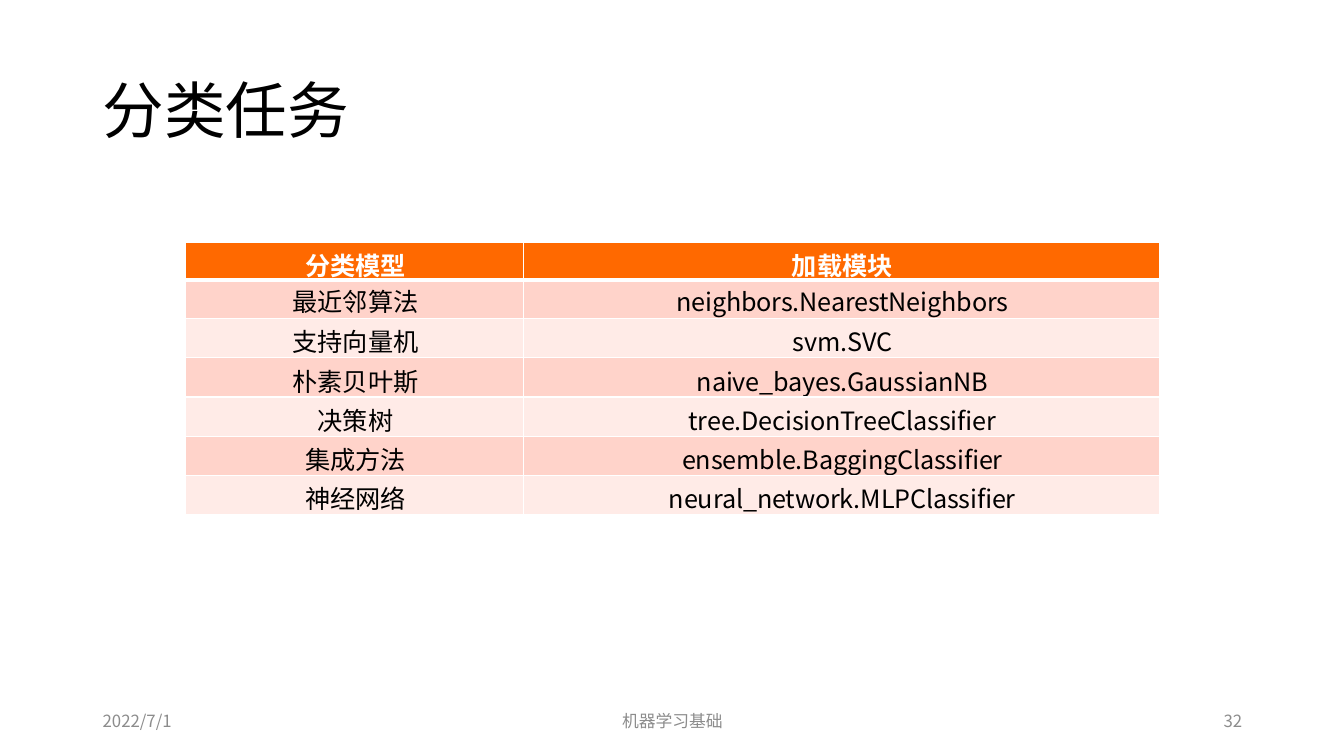
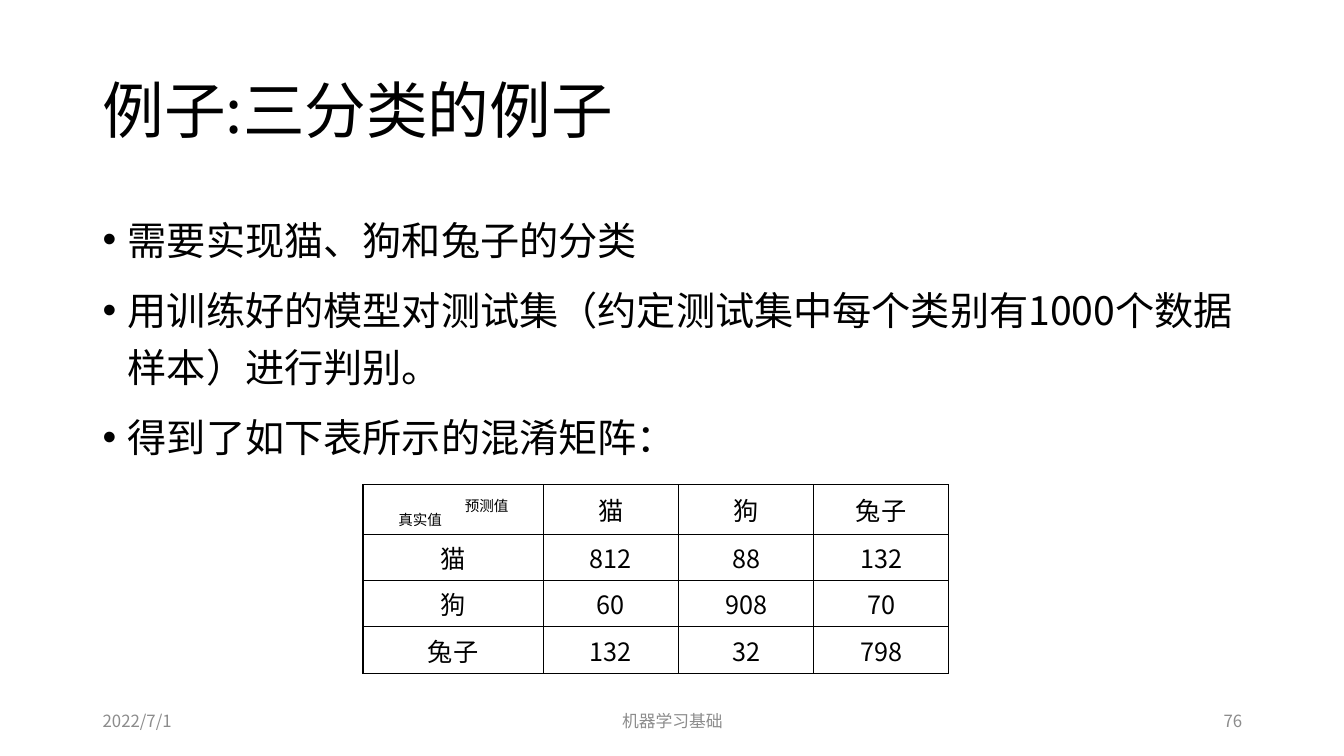
"""Build two machine-learning slides: a model table and a confusion matrix."""
from lxml import etree
from pptx import Presentation
from pptx.dml.color import RGBColor
from pptx.enum.text import MSO_ANCHOR, PP_ALIGN
from pptx.oxml.ns import qn
from pptx.util import Pt

LEFT, MID, RIGHT = PP_ALIGN.LEFT, PP_ALIGN.CENTER, PP_ALIGN.RIGHT
TOP, CENTER = MSO_ANCHOR.TOP, MSO_ANCHOR.MIDDLE
PX = 9144
FONT = "Noto Sans CJK SC"
BLACK = RGBColor(0x00, 0x00, 0x00)
WHITE = RGBColor(0xFF, 0xFF, 0xFF)
GRAY = RGBColor(0x8C, 0x8C, 0x8C)
ORANGE = RGBColor(0xFF, 0x69, 0x00)
PINK = RGBColor(0xFF, 0xD3, 0xCA)
PALE = RGBColor(0xFF, 0xEB, 0xE7)

TITLE_BOX = (92, 40, 1150, 145)
BODY_BOX = (92, 200, 1150, 476)
DATE = "2022/7/1"
TOPIC = "机器学习基础"
FOOTS = [(92, 300, LEFT), (442, 450, MID), (942, 300, RIGHT)]

MODELS = [
    ("分类模型", "加载模块"),
    ("最近邻算法", "neighbors.NearestNeighbors"),
    ("支持向量机", "svm.SVC"),
    ("朴素贝叶斯", "naive_bayes.GaussianNB"),
    ("决策树", "tree.DecisionTreeClassifier"),
    ("集成方法", "ensemble.BaggingClassifier"),
    ("神经网络", "neural_network.MLPClassifier"),
]
POINTS = [
    "需要实现猫、狗和兔子的分类",
    "用训练好的模型对测试集（约定测试集中每个类别有1000个数据样本）进行判别。",
    "得到了如下表所示的混淆矩阵：",
]
KINDS = ["猫", "狗", "兔子"]
COUNTS = [(812, 88, 132), (60, 908, 70), (132, 32, 798)]
AXES = [("真实值", -25000), ("\t预测值", 30000)]

TITLE = {"size": Pt(44), "color": BLACK}
BODY = {"size": Pt(28), "color": BLACK}
FOOT = {"size": Pt(12), "color": GRAY}
CELL = {"size": Pt(18), "color": BLACK}
HEAD = {"size": Pt(18), "color": WHITE, "bold": True}


def apply(item, look):
    for key, val in look.items():
        setattr(item, key, val)


def add_run(para, text, look):
    run = para.add_run()
    run.text = text
    font = run.font
    apply(font, {k: v for k, v in look.items() if k != "color"})
    font.name = FONT
    font.color.rgb = look["color"]
    props = run._r.get_or_add_rPr()
    etree.SubElement(props, qn("a:ea"), typeface=FONT)
    return props


def add_text(slide, box, lines, look, form, anchor=CENTER, bullet=False):
    shape = slide.shapes.add_textbox(*(n * PX for n in box))
    frame = shape.text_frame
    apply(frame, {"word_wrap": True, "vertical_anchor": anchor})
    for i, line in enumerate(lines):
        para = frame.add_paragraph() if i else frame.paragraphs[0]
        apply(para, form)
        add_run(para, line, look)
        if bullet:
            props = para._p.get_or_add_pPr()
            props.set("marL", str(25 * PX))
            props.set("indent", str(-25 * PX))
            etree.SubElement(props, qn("a:buFont"), typeface="Arial")
            etree.SubElement(props, qn("a:buChar"), char="•")


def add_slide(deck, title, num):
    slide = deck.slides.add_slide(deck.slide_layouts[6])
    add_text(slide, TITLE_BOX, [title], TITLE, {"line_spacing": 0.9})
    for (x, w, side), text in zip(FOOTS, (DATE, TOPIC, num)):
        add_text(slide, (x, 695, w, 40), [text], FOOT, {"alignment": side})
    return slide


def add_grid(slide, x, y, cols, rows):
    shape = slide.shapes.add_table(
        len(rows), len(cols), x * PX, y * PX, sum(cols) * PX, sum(rows) * PX)
    grid = shape.table
    apply(grid, {"first_row": False, "horz_banding": False})
    for col, w in zip(grid.columns, cols):
        col.width = w * PX
    for row, h in zip(grid.rows, rows):
        row.height = h * PX
    return grid


def dress(cell, fill, edge, wide=None):
    props = cell._tc.get_or_add_tcPr()
    for side in ("lnL", "lnR", "lnT", "lnB"):
        width = Pt(3 if side == wide else 1)
        line = etree.SubElement(props, qn("a:" + side), w=str(width))
        paint = etree.SubElement(line, qn("a:solidFill"))
        etree.SubElement(paint, qn("a:srgbClr"), val=str(edge))
    cell.fill.solid()
    cell.fill.fore_color.rgb = fill


def add_models(slide):
    grid = add_grid(slide, 184, 240, (335, 631), [38] * 2 + [39] * 5)
    for r, row in enumerate(MODELS):
        fill = (PALE, PINK)[r % 2] if r else ORANGE
        wide = {0: "lnB", 1: "lnT"}.get(r)
        gap, lead = (2, 1.6) if r == 1 else (4, 2.6)
        for c, text in enumerate(row):
            cell = grid.cell(r, c)
            dress(cell, fill, WHITE, wide)
            apply(cell, {"margin_left": 0, "margin_right": 0,
                         "margin_top": gap * PX, "margin_bottom": 0})
            para = cell.text_frame.paragraphs[0]
            apply(para, {"alignment": MID, "space_before": Pt(lead)})
            para._p.get_or_add_pPr().set("marL", str(2 * PX))
            props = add_run(para, text, CELL if r else HEAD)
            if r and c:
                props.set("spc", "-10")


def add_matrix(slide):
    grid = add_grid(slide, 360, 481, (179, 134, 134, 134), (49, 46, 46, 46))
    table = [[""] + KINDS]
    table += [[kind, *nums] for kind, nums in zip(KINDS, COUNTS)]
    for r, row in enumerate(table):
        for c, value in enumerate(row):
            cell = grid.cell(r, c)
            dress(cell, WHITE, BLACK)
            cell.vertical_anchor = CENTER
            para = cell.text_frame.paragraphs[0]
            if r or c:
                para.alignment = MID
                add_run(para, str(value), CELL)
    corner = grid.cell(0, 0)
    corner.margin_left = 35 * PX
    para = corner.text_frame.paragraphs[0]
    tabs = etree.SubElement(para._p.get_or_add_pPr(), qn("a:tabLst"))
    etree.SubElement(tabs, qn("a:tab"), pos=str(66 * PX), algn="l")
    for text, shift in AXES:
        add_run(para, text, CELL).set("baseline", str(shift))


def main():
    deck = Presentation()
    apply(deck, {"slide_width": 1333 * PX, "slide_height": 750 * PX})
    add_models(add_slide(deck, "分类任务", "32"))
    slide = add_slide(deck, "例子:三分类的例子", "76")
    form = {"line_spacing": 1.2, "space_before": Pt(10)}
    add_text(slide, BODY_BOX, POINTS, BODY, form, TOP, True)
    add_matrix(slide)
    deck.save("out.pptx")


if __name__ == "__main__":
    main()
